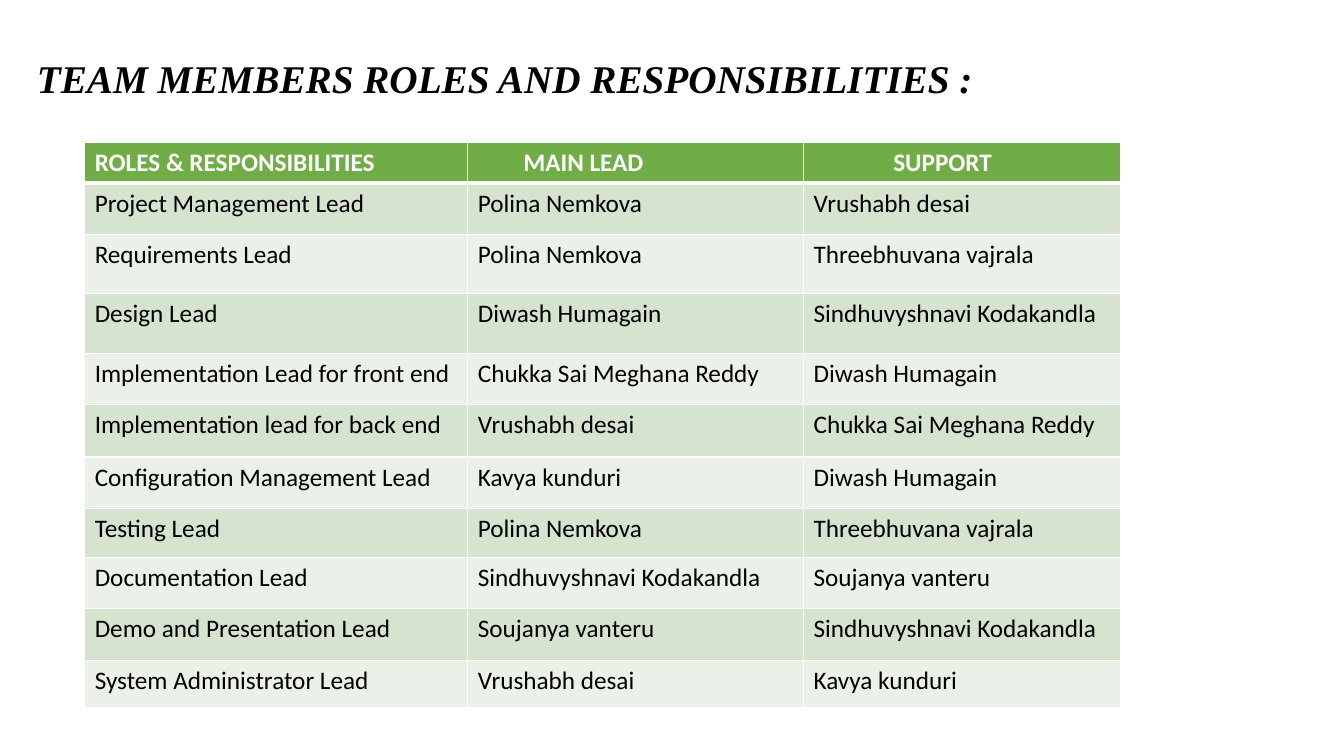
from dataclasses import dataclass
from lxml import etree
from pptx import Presentation
from pptx import util as u
from pptx.dml.color import RGBColor
from pptx.enum import text
from pptx.oxml import ns

COLOURS = {"header": "70AD47", "odd": "D5E3CF", "even": "EBF1E9",
           "line": "FFFFFF", "light": "FFFFFF", "dark": "000000"}
SLIDE_WIDTH, SLIDE_HEIGHT = u.Inches(13.33), u.Inches(7.5)
COLUMN_WIDTHS = (3.8, 3.33, 3.14)
ROW_HEIGHTS = (0.4, 0.51, 0.59, 0.59, 0.51, 0.52, 0.51, 0.49, 0.5, 0.52, 0.47)
HEADINGS = (("ROLES & RESPONSIBILITIES", 0), ("MAIN LEAD", 0.45), ("SUPPORT", 0.79))


@dataclass(frozen=True)
class Role:
    name: str
    lead: str
    support: str


@dataclass(frozen=True)
class Style:
    fill: str
    font: str
    bold: bool = False
    top: float = 1
    bottom: float = 1


POLINA, VRUSHABH, DIWASH = "Polina Nemkova", "Vrushabh desai", "Diwash Humagain"
THREEBHUVANA, SINDHU = "Threebhuvana vajrala", "Sindhuvyshnavi Kodakandla"
MEGHANA, KAVYA, SOUJANYA = "Chukka Sai Meghana Reddy", "Kavya kunduri", "Soujanya vanteru"
ROLES = (
    Role("Project Management Lead", POLINA, VRUSHABH),
    Role("Requirements Lead", POLINA, THREEBHUVANA),
    Role("Design Lead", DIWASH, SINDHU),
    Role("Implementation Lead for front end", MEGHANA, DIWASH),
    Role("Implementation lead for back end", VRUSHABH, MEGHANA),
    Role("Configuration Management Lead", KAVYA, DIWASH),
    Role("Testing Lead", POLINA, THREEBHUVANA),
    Role("Documentation Lead", SINDHU, SOUJANYA),
    Role("Demo and Presentation Lead", SOUJANYA, SINDHU),
    Role("System Administrator Lead", VRUSHABH, KAVYA),
)


def rgb(name: str) -> RGBColor:
    return RGBColor.from_string(COLOURS[name])


def add_span(para, words: str, font: str, size: float, colour: str,
             bold: bool = False, italic: bool = False) -> None:
    span = para.add_run()
    span.text = words
    span.font.name = font
    span.font.size = u.Pt(size)
    span.font.bold = bold
    span.font.italic = italic
    span.font.color.rgb = rgb(colour)


def add_borders(cell, style: Style) -> None:
    properties = cell._tc.get_or_add_tcPr()
    for side, width in (("L", 1), ("R", 1), ("T", style.top), ("B", style.bottom)):
        line = etree.SubElement(properties, ns.qn(f"a:ln{side}"), w=str(u.Pt(width)))
        fill = etree.SubElement(line, ns.qn("a:solidFill"))
        etree.SubElement(fill, ns.qn("a:srgbClr"), val=COLOURS["line"])


def fill_cell(cell, words: str, style: Style, indent: float = 0) -> None:
    add_borders(cell, style)
    cell.fill.solid()
    cell.fill.fore_color.rgb = rgb(style.fill)
    cell.margin_left = u.Inches(0.1 + indent)
    add_span(cell.text_frame.paragraphs[0], words, "Calibri", 18, style.font, style.bold)


def add_title(page, words: str) -> None:
    box = page.shapes.title
    box.left, box.top = int(SLIDE_WIDTH * 0.02), int(SLIDE_HEIGHT * 0.065)
    box.width, box.height = int(SLIDE_WIDTH * 0.73), int(SLIDE_HEIGHT * 0.076)
    frame = box.text_frame
    frame.word_wrap = False
    frame.auto_size = text.MSO_AUTO_SIZE.NONE
    frame.vertical_anchor = text.MSO_ANCHOR.MIDDLE
    para = frame.paragraphs[0]
    para.alignment = text.PP_ALIGN.LEFT
    add_span(para, words, "Times New Roman", 28, "dark", bold=True, italic=True)


def add_roles(page, roles: tuple[Role, ...]) -> None:
    table = page.shapes.add_table(
        len(ROW_HEIGHTS), len(COLUMN_WIDTHS),
        int(SLIDE_WIDTH * 0.063), int(SLIDE_HEIGHT * 0.188),
        u.Inches(sum(COLUMN_WIDTHS)), u.Inches(sum(ROW_HEIGHTS))).table
    for column, width in zip(table.columns, COLUMN_WIDTHS):
        column.width = u.Inches(width)
    for row, height in zip(table.rows, ROW_HEIGHTS):
        row.height = u.Inches(height)
    header = Style("header", "light", bold=True, bottom=3)
    for column, (words, indent) in enumerate(HEADINGS):
        fill_cell(table.cell(0, column), words, header, indent)
    for row, role in enumerate(roles, start=1):
        style = Style("odd" if row % 2 else "even", "dark", top=3 if row == 1 else 1)
        for column, words in enumerate((role.name, role.lead, role.support)):
            fill_cell(table.cell(row, column), words, style)


deck = Presentation()
deck.slide_width, deck.slide_height = SLIDE_WIDTH, SLIDE_HEIGHT
page = deck.slides.add_slide(deck.slide_layouts.get_by_name("Title Only"))
add_title(page, "TEAM MEMBERS ROLES AND RESPONSIBILITIES :")
add_roles(page, ROLES)
deck.save("out.pptx")
